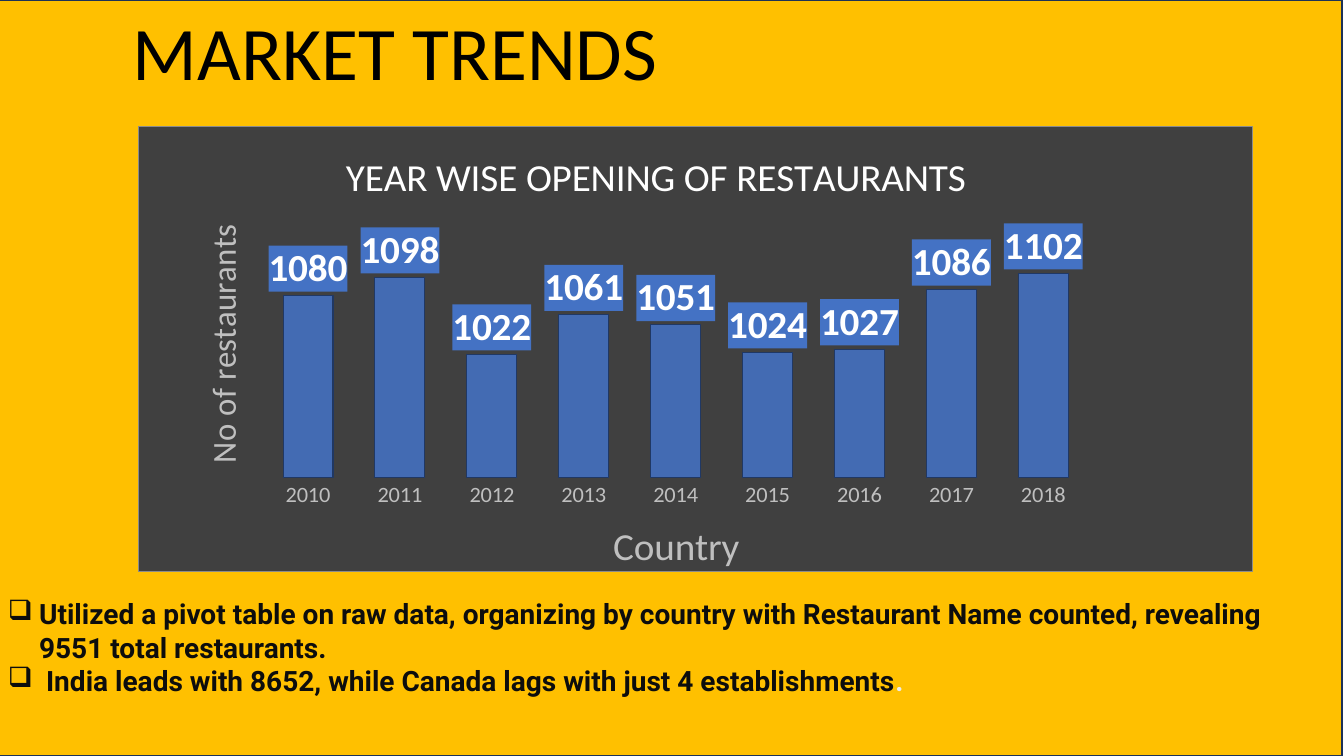
"""Build the market trends slide with its yearly restaurant chart."""
from dataclasses import dataclass
from typing import NamedTuple

from lxml import etree
from pptx import Presentation
from pptx import util as u
from pptx.chart.data import CategoryChartData
from pptx.dml.color import RGBColor
from pptx.enum import chart as ch, shapes, text
from pptx.oxml import parse_xml
from pptx.oxml.ns import nsdecls, qn

PX = 9144
AMBER = RGBColor(0xFF, 0xC0, 0x00)
NAVY = RGBColor(0x1E, 0x32, 0x56)
BAR_EDGE = RGBColor(0x20, 0x38, 0x64)
BLUE = RGBColor(0x44, 0x72, 0xC4)
CHARCOAL = RGBColor(0x40, 0x40, 0x40)
GREY = RGBColor(0x8C, 0x8C, 0x8C)
SILVER = RGBColor(0xBF, 0xBF, 0xBF)
WHITE = RGBColor(0xFF, 0xFF, 0xFF)
PALE = RGBColor(0xEC, 0xEC, 0xEC)
INK = RGBColor(0x0D, 0x0D, 0x0D)
BLACK = RGBColor(0, 0, 0)

OPENINGS = {
    "2010": 1080, "2011": 1098, "2012": 1022, "2013": 1061, "2014": 1051,
    "2015": 1024, "2016": 1027, "2017": 1086, "2018": 1102,
}


@dataclass(frozen=True)
class Caption:
    words: str
    size: int
    color: RGBColor
    x: float
    y: float
    rotation: int = 0


class Piece(NamedTuple):
    words: str
    color: RGBColor


CHART_TITLE = Caption("YEAR WISE OPENING OF RESTAURANTS", 28, WHITE, 0.18, 0.04)
YEAR_TITLE = Caption("Country", 28, SILVER, 0.42, 0.87)
COUNT_TITLE = Caption("No of restaurants", 24, SILVER, 0.05, 0.22, -90)

BULLETS = [
    [Piece("Utilized a pivot table on raw data, organizing by country with "
           "Restaurant Name counted, revealing 9551 total restaurants.", INK)],
    [Piece(" India leads with 8652, while Canada lags with just 4 establishments", INK),
     Piece(".", PALE)],
]


def px(n: int) -> u.Emu:
    return u.Emu(n * PX)


def style(font, size: int, color: RGBColor, name: str = "Calibri", bold: bool = False) -> None:
    font.size, font.name, font.bold = u.Pt(size), name, bold
    font.color.rgb = color


def set_layout(parent, index: int, **values) -> None:
    for old in parent.findall(qn("c:layout")):
        parent.remove(old)
    items = "".join(f'<c:{key} val="{val}"/>' for key, val in values.items())
    parent.insert(index, parse_xml(
        f'<c:layout {nsdecls("c")}><c:manualLayout>{items}</c:manualLayout></c:layout>'))


def box_fill(fill: RGBColor, line: str = ""):
    return parse_xml(
        f'<c:spPr {nsdecls("c", "a")}><a:solidFill><a:srgbClr val="{fill}"/>'
        f'</a:solidFill>{line}</c:spPr>')


def add_caption(title, caption: Caption) -> None:
    tf = title.text_frame
    r = tf.paragraphs[0].add_run()
    r.text = caption.words
    style(r.font, caption.size, caption.color)
    body = title.element.find(".//" + qn("a:bodyPr"))
    body.set("rot", str(caption.rotation * 60000))
    body.set("vert", "horz")
    set_layout(title.element, 1, xMode="edge", yMode="edge", x=caption.x, y=caption.y)


def add_backdrop(s) -> None:
    sp = s.shapes.add_shape(shapes.MSO_SHAPE.RECTANGLE, px(-2), 0, px(1333), px(750))
    s.shapes.title.element.addprevious(sp.element)
    sp.shadow.inherit = False
    sp.fill.solid()
    sp.fill.fore_color.rgb = AMBER
    sp.line.color.rgb = NAVY
    sp.line.width = u.Pt(1)
    tf = sp.text_frame
    tf.word_wrap = True
    tf.vertical_anchor = text.MSO_ANCHOR.TOP
    tf.margin_top = px(592)
    for i, pieces in enumerate(BULLETS):
        p = tf.add_paragraph() if i else tf.paragraphs[0]
        p.alignment = text.PP_ALIGN.LEFT
        for piece in pieces:
            r = p.add_run()
            r.text = piece.words
            style(r.font, 20, piece.color, "Roboto", True)
        props = p.element.get_or_add_pPr() if hasattr(p, "element") else p._p.get_or_add_pPr()
        props.set("marL", str(px(31)))
        props.set("indent", str(px(-31)))
        etree.SubElement(props, qn("a:buChar"), char="❑")


def add_title(s) -> None:
    sp = s.shapes.title
    sp.left, sp.top, sp.width, sp.height = px(119), px(0), px(546), px(192)
    tf = sp.text_frame
    tf.word_wrap = False
    tf.auto_size = text.MSO_AUTO_SIZE.NONE
    tf.vertical_anchor = text.MSO_ANCHOR.TOP
    p = tf.paragraphs[0]
    p.alignment = text.PP_ALIGN.CENTER
    p.line_spacing = 1.0
    r = p.add_run()
    r.text = "MARKET TRENDS"
    style(r.font, 54, BLACK)


def add_openings_chart(s) -> None:
    data = CategoryChartData()
    data.categories = list(OPENINGS)
    data.add_series("Series 1", list(OPENINGS.values()))
    chart = s.shapes.add_chart(ch.XL_CHART_TYPE.COLUMN_CLUSTERED,
                               px(137), px(125), px(1105), px(453), data).chart
    style(chart.font, 10, BLACK)
    chart.has_legend = False
    add_caption(chart.chart_title, CHART_TITLE)

    years, counts = chart.category_axis, chart.value_axis
    add_caption(years.axis_title, YEAR_TITLE)
    add_caption(counts.axis_title, COUNT_TITLE)
    style(years.tick_labels.font, 16, SILVER)
    years.major_tick_mark = ch.XL_TICK_MARK.NONE
    years.format.line.fill.background()
    counts.minimum_scale, counts.maximum_scale, counts.major_unit = 900, 1200, 100
    counts.has_major_gridlines = False
    counts.visible = False

    plot = chart.plots[0]
    plot.gap_width = 84
    plot.vary_by_categories = False
    bars = plot.series[0]
    bars.format.fill.solid()
    bars.format.fill.fore_color.rgb = BLUE
    bars.format.line.color.rgb = BAR_EDGE
    bars.format.line.width = u.Pt(0.75)
    labels = bars.data_labels
    labels.show_value = True
    labels.position = ch.XL_LABEL_POSITION.OUTSIDE_END
    style(labels.font, 28, WHITE, bold=True)

    root = chart.element
    ser = root.find(".//" + qn("c:ser"))
    tint = ser.find("/".join(map(qn, ("c:spPr", "a:solidFill", "a:srgbClr"))))
    etree.SubElement(tint, qn("a:alpha"), val="88000")
    ser.find(qn("c:dLbls")).find(qn("c:txPr")).addprevious(box_fill(BLUE))
    border = (f'<a:ln w="{u.Pt(0.5)}"><a:solidFill><a:srgbClr val="{GREY}"/>'
              '</a:solidFill></a:ln>')
    root.find(qn("c:chart")).addnext(box_fill(CHARCOAL, border))
    set_layout(root.find(".//" + qn("c:plotArea")), 0, layoutTarget="inner",
               xMode="edge", yMode="edge", x=0.111, y=0.107, w=0.743, h=0.683)


def main() -> None:
    prs = Presentation()
    prs.slide_width, prs.slide_height = px(1333), px(750)
    s = prs.slides.add_slide(prs.slide_layouts[5])
    add_backdrop(s)
    add_openings_chart(s)
    add_title(s)
    prs.save("out.pptx")


if __name__ == "__main__":
    main()
